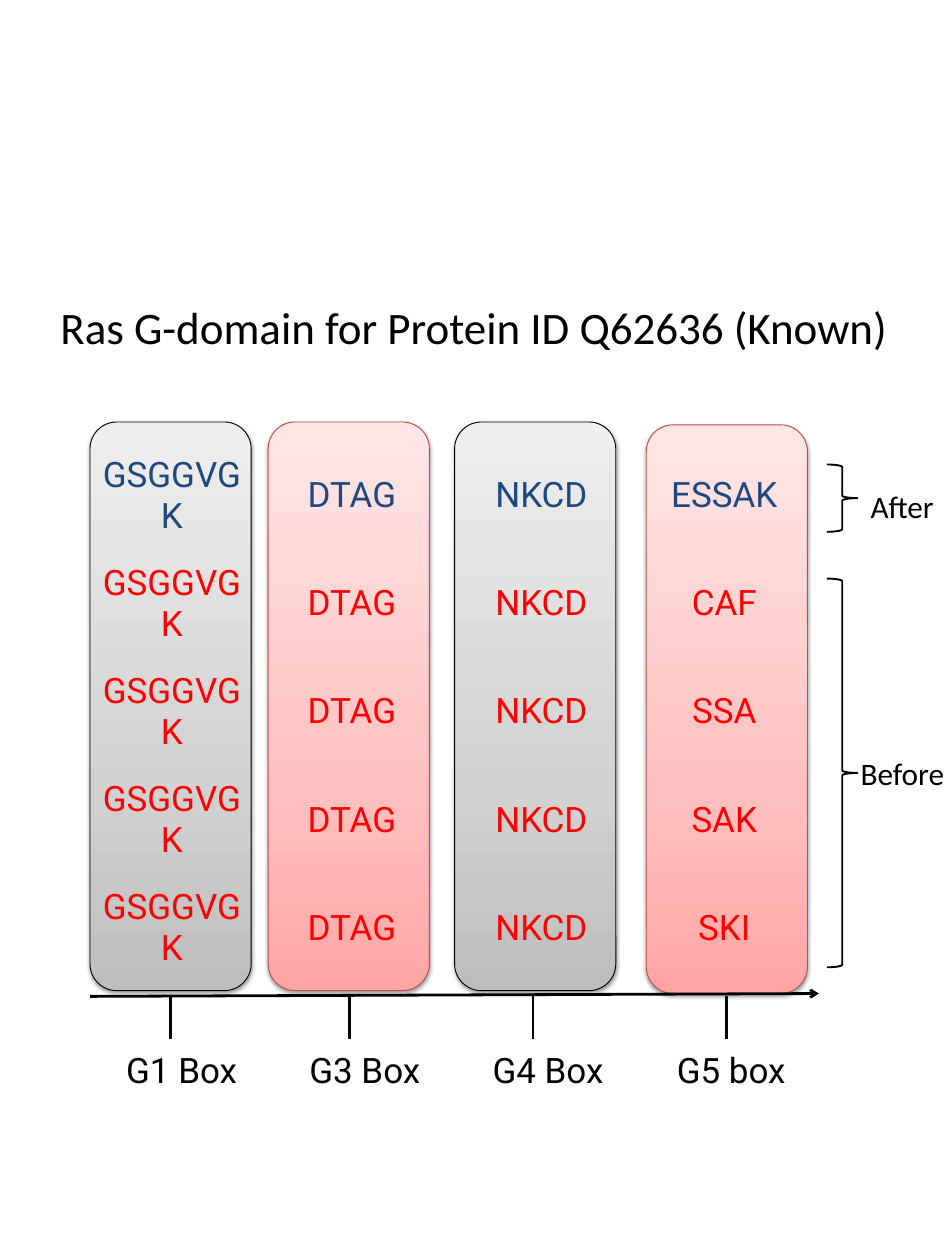
import pptx
import pptx.util
import pptx.dml.color
import pptx.enum.shapes
import pptx.enum.text
import pptx.oxml
import pptx.oxml.ns
from dataclasses import dataclass
from lxml import etree

Cm = pptx.util.Cm
Pt = pptx.util.Pt
RGB = pptx.dml.color.RGBColor.from_string
SHAPE = pptx.enum.shapes.MSO_SHAPE
CENTER = pptx.enum.text.PP_ALIGN.CENTER
MIDDLE = pptx.enum.text.MSO_ANCHOR.MIDDLE
NS = pptx.oxml.ns.nsdecls("a")
qn = pptx.oxml.ns.qn
NO_STYLE = "{2D5ABB26-0587-4C30-8999-92F81FD0307C}"


@dataclass(frozen=True)
class Theme:
    ink: str = "000000"
    paper: str = "FFFFFF"
    after: str = "1F497D"
    before: str = "FF0000"
    grey: tuple = ("000000", "BDBDBD", "D1D1D1", "EEEEEE")
    pink: tuple = ("BF4C48", "FFA6A5", "FFC0BF", "FFE7E7")
    body_font: str = "Calibri"
    motif_font: str = "Roboto"
    title_size: int = 36
    motif_size: int = 28
    note_size: int = 25


T = Theme()

TITLE = "Ras G-domain for Protein ID Q62636 (Known)"
LABELS = ["G1 Box", "G3 Box", "G4 Box", "G5 box"]
MOTIFS = [
    ["GSGGVGK", "DTAG", "NKCD", last]
    for last in ("ESSAK", "CAF", "SSA", "SAK", "SKI")
]
BOXES = [
    (2.54, 11.91, 4.81, T.grey),
    (7.57, 11.91, 9.86, T.pink),
    (12.83, 11.91, 15.04, T.grey),
    (18.24, 11.99, 20.5, T.pink),
]
BRACES = [(16.33, 10.97), (13.11, 1.9)]
TEXTS = [
    ("After", 24.21, 13.56, 2.57, 1.45, T.note_size),
    ("Before", 23.93, 21.11, 3.12, 1.45, T.note_size),
    (TITLE, 1.12, 8.26, 24.51, 1.9, T.title_size),
]
LEFT = 2.54
AXIS_Y = 28.12
TICK = 1.19


def set_font(p, name, size, color):
    p.font.name = name
    p.font.size = Pt(size)
    p.font.color.rgb = RGB(color)


def add_box(s, x, y, palette):
    edge, *colors = palette
    sp = s.shapes.add_shape(
        SHAPE.ROUNDED_RECTANGLE, Cm(x), Cm(y), Cm(4.55), Cm(16.05))
    sp.line.color.rgb = RGB(edge)
    sp.line.width = Pt(0.75)
    stops = "".join(
        f'<a:gs pos="{pos * 1000}"><a:srgbClr val="{color}"/></a:gs>'
        for pos, color in zip((0, 35, 100), colors))
    grad = pptx.oxml.parse_xml(
        f'<a:gradFill {NS} rotWithShape="1"><a:gsLst>{stops}</a:gsLst>'
        '<a:lin ang="16200000" scaled="0"/></a:gradFill>')
    shadow = pptx.oxml.parse_xml(
        f'<a:effectLst {NS}><a:outerShdw blurRad="{Pt(3.1)}" '
        f'dist="{Pt(1.6)}" dir="5400000" rotWithShape="0">'
        f'<a:srgbClr val="{T.ink}"><a:alpha val="38000"/></a:srgbClr>'
        '</a:outerShdw></a:effectLst>')
    sp.element.spPr.find(qn("a:prstGeom")).addnext(grad)
    sp.element.spPr.append(shadow)


def add_grid(s, rows, y, widths, height, colors, fill=None):
    frame = s.shapes.add_table(
        len(rows), len(widths), Cm(LEFT), Cm(y),
        Cm(sum(widths)), Cm(height * len(rows)))
    table = frame.table
    table.first_row = table.horz_banding = False
    frame.element.find(".//" + qn("a:tableStyleId")).text = NO_STYLE
    for column, width in zip(table.columns, widths):
        column.width = Cm(width)
    for i, (row, color) in enumerate(zip(rows, colors)):
        table.rows[i].height = Cm(height)
        for j, text in enumerate(row):
            cell = table.cell(i, j)
            cell.margin_left = cell.margin_right = Cm(0.13)
            cell.margin_top = cell.margin_bottom = Cm(0.2)
            cell.vertical_anchor = MIDDLE
            if fill:
                cell.fill.solid()
                cell.fill.fore_color.rgb = RGB(fill)
            else:
                cell.fill.background()
            p = cell.text_frame.paragraphs[0]
            p.text = text
            p.alignment = CENTER
            set_font(p, T.motif_font, T.motif_size, color)


def add_line(s, x1, y1, x2, y2, arrow=False):
    line = s.shapes.add_connector(
        pptx.enum.shapes.MSO_CONNECTOR.STRAIGHT,
        Cm(x1), Cm(y1), Cm(x2), Cm(y2))
    line.line.color.rgb = RGB(T.ink)
    line.line.width = Pt(2.25)
    if arrow:
        etree.SubElement(line.line._get_or_add_ln(), qn("a:tailEnd"), type="arrow")
    etree.SubElement(line.element.spPr, qn("a:effectLst"))


def add_brace(s, y, height):
    sp = s.shapes.add_shape(
        SHAPE.RIGHT_BRACE, Cm(23.34), Cm(y), Cm(0.86), Cm(height))
    sp.shadow.inherit = False
    sp.fill.background()
    sp.line.color.rgb = RGB(T.ink)
    sp.line.width = Pt(1.5)


def add_text(s, text, x, y, width, height, size):
    tf = s.shapes.add_textbox(Cm(x), Cm(y), Cm(width), Cm(height)).text_frame
    tf.word_wrap = text == TITLE
    tf.auto_size = pptx.enum.text.MSO_AUTO_SIZE.SHAPE_TO_FIT_TEXT
    tf.margin_left = tf.margin_right = Cm(0.36)
    tf.margin_top = tf.margin_bottom = Cm(0.18)
    p = tf.paragraphs[0]
    p.text = text
    if text == TITLE:
        p.alignment = CENTER
    set_font(p, T.body_font, size, T.ink)


def main():
    prs = pptx.Presentation()
    prs.slide_width, prs.slide_height = Cm(26.67), Cm(35.56)
    s = prs.slides.add_slide(prs.slide_layouts[6])

    for x, y, _, palette in reversed(BOXES):
        add_box(s, x, y, palette)
    add_grid(s, MOTIFS, 12.47, [4.62, 5.54, 5.16, 5.16], 3.05,
             [T.after] + [T.before] * 4)
    add_line(s, LEFT, AXIS_Y, 23.11, 28.04, arrow=True)
    add_grid(s, [LABELS], 28.37, [5.17] * 4, 3.73, [T.ink], T.paper)
    for _, _, tick_x, _ in BOXES:
        add_line(s, tick_x, AXIS_Y, tick_x, AXIS_Y + TICK)
    for brace in BRACES:
        add_brace(s, *brace)
    for text in TEXTS:
        add_text(s, *text)

    prs.save("out.pptx")


if __name__ == "__main__":
    main()
